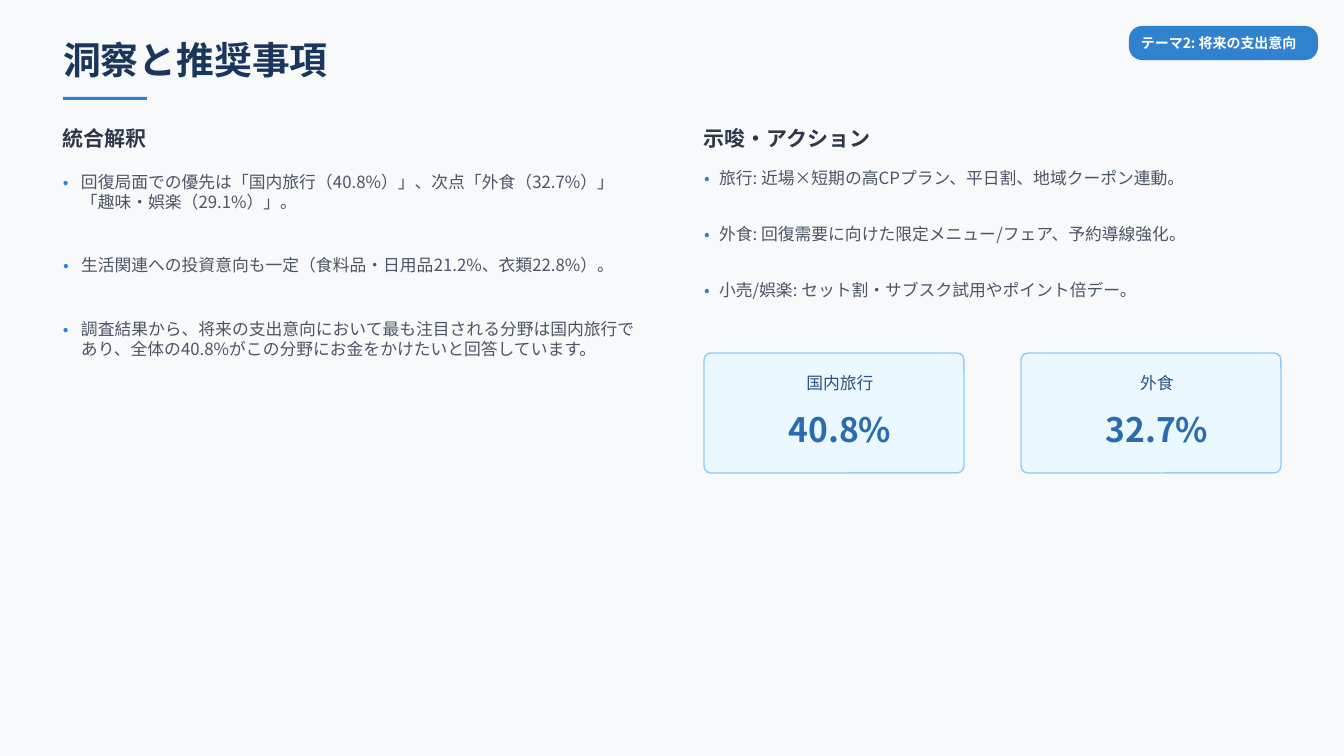
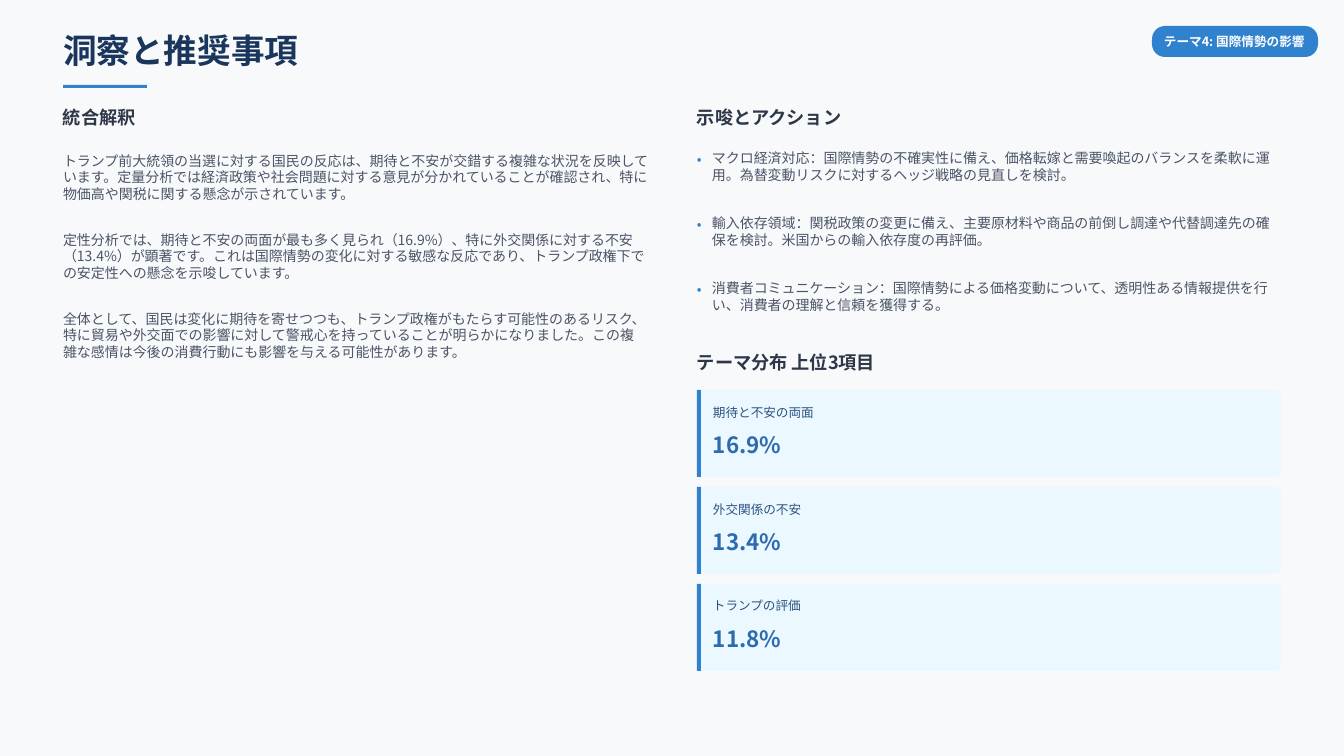
import dataclasses

import pptx
import pptx.dml.color
import pptx.enum.shapes
import pptx.enum.text
import pptx.oxml.ns
import pptx.util
from lxml import etree

PX = 9525 / 1.05  # EMU in one px, 100.8 px to the inch
SHAPE = pptx.enum.shapes.MSO_SHAPE
ALIGN = pptx.enum.text.PP_ALIGN


@dataclasses.dataclass(frozen=True)
class Theme:
    font: str = "Noto Sans CJK JP"
    back: str = "F8F9FA"
    title: str = "1A365D"
    head: str = "2D3748"
    body: str = "4A5568"
    blue: str = "3182CE"
    pale: str = "EBF8FF"
    edge: str = "90CDF4"
    label: str = "2C5282"
    value: str = "2B6CB0"
    white: str = "FFFFFF"
    lead: float = 1.19  # line pitch of body text


@dataclasses.dataclass(frozen=True)
class Sizes:
    title: int
    head: int
    body: int
    label: int
    value: int
    badge: int


THEME = Theme()
LARGE = Sizes(title=27, head=15, body=12, label=12, value=24, badge=10)
SMALL = Sizes(title=24, head=13, body=10, label=9, value=16, badge=9)


def emu(px):
    return pptx.util.Emu(round(px * PX))


def rgb(code):
    return pptx.dml.color.RGBColor.from_string(code)


def shape(slide, box, fill, radius=0, line=None):
    kind = SHAPE.ROUNDED_RECTANGLE if radius else SHAPE.RECTANGLE
    item = slide.shapes.add_shape(kind, *map(emu, box))
    item.shadow.inherit = False
    item.fill.solid()
    item.fill.fore_color.rgb = rgb(fill)
    if radius:
        item.adjustments[0] = radius / min(box[2:])
    if line:
        item.line.color.rgb = rgb(line)
        item.line.width = pptx.util.Pt(1)
    else:
        item.line.fill.background()


def bullet(para, hang):
    props = para._p.get_or_add_pPr()
    props.set("marL", str(emu(hang)))
    props.set("indent", str(-emu(hang)))
    name = pptx.oxml.ns.qn
    color = etree.SubElement(props, name("a:buClr"))
    etree.SubElement(color, name("a:srgbClr"), val=THEME.blue)
    etree.SubElement(props, name("a:buFont"), typeface=THEME.font)
    etree.SubElement(props, name("a:buChar"), char="•")


def text(slide, box, words, size, color, bold=False, align=ALIGN.LEFT,
         lead=None, hang=0):
    frame = slide.shapes.add_textbox(*map(emu, box)).text_frame
    frame.word_wrap = True
    frame.vertical_anchor = pptx.enum.text.MSO_ANCHOR.MIDDLE
    frame.margin_left = frame.margin_right = 0
    frame.margin_top = frame.margin_bottom = 0
    para = frame.paragraphs[0]
    para.alignment = align
    if lead:
        para.line_spacing = pptx.util.Pt(round(size * lead, 1))
    if hang:
        bullet(para, hang)
    run = para.add_run()
    run.text = words
    run.font.name = THEME.font
    run.font.size = pptx.util.Pt(size)
    run.font.bold = bold
    run.font.color.rgb = rgb(color)
    east = etree.SubElement(run._r.get_or_add_rPr(), pptx.oxml.ns.qn("a:ea"))
    east.set("typeface", THEME.font)


def head(slide, x, y, words, sizes):
    text(slide, (x, y, 300, 2 * sizes.head), words, sizes.head,
         THEME.head, bold=True)


def body(slide, box, words, sizes, hang=0):
    text(slide, box, words, sizes.body, THEME.body, lead=THEME.lead, hang=hang)


def frame(deck, sizes, top, topic, wide):
    """Start a slide: background, title with rule, topic badge."""
    slide = deck.slides.add_slide(deck.slide_layouts[6])
    slide.background.fill.solid()
    slide.background.fill.fore_color.rgb = rgb(THEME.back)
    high = 2 * sizes.title
    text(slide, (63, top, 400, high), "洞察と推奨事項", sizes.title,
         THEME.title, bold=True)
    shape(slide, (63, top + high + 11, 84, 3), THEME.blue)
    # Badge, set against the right edge
    x, y, tall = 1318 - wide, 26, 3 * sizes.badge + 4
    shape(slide, (x, y, wide, tall), THEME.blue, radius=13)
    text(slide, (x + 12, y, wide - 12, tall), topic, sizes.badge,
         THEME.white, bold=True)
    return slide


def tile(slide, box, label, value, sizes):
    """Outlined card with centred figures."""
    x, y, w, h = box
    shape(slide, box, THEME.pale, radius=7, line=THEME.edge)
    text(slide, (x + 6, y + 17, w, 25), label, sizes.label, THEME.label,
         align=ALIGN.CENTER)
    text(slide, (x + 6, y + 52, w, 48), value, sizes.value, THEME.value,
         bold=True, align=ALIGN.CENTER)


def strip(slide, box, label, value, sizes):
    """Wide card with an accent bar at its left."""
    x, y, w, h = box
    shape(slide, box, THEME.pale, radius=5)
    shape(slide, (x, y, 4, h), THEME.blue)
    text(slide, (x + 16, y + 12, w - 32, 20), label, sizes.label, THEME.label)
    text(slide, (x + 16, y + 38, w - 32, 34), value, sizes.value, THEME.value,
         bold=True)


def spend(deck):
    sizes = LARGE
    slide = frame(deck, sizes, 32, "テーマ2: 将来の支出意向", 189)
    # Findings
    left, right = 63, 704
    head(slide, left, 123, "統合解釈", sizes)
    notes = (
        (165, 564, 53, "回復局面での優先は「国内旅行（40.8%）」、次点「外食（32.7%）」「趣味・娯楽（29.1%）」。"),
        (252, 575, 25, "生活関連への投資意向も一定（食料品・日用品21.2%、衣類22.8%）。"),
        (312, 584, 53, "調査結果から、将来の支出意向において最も注目される分野は国内旅行であり、全体の40.8%がこの分野にお金をかけたいと回答しています。"),
    )
    for y, w, h, words in notes:
        body(slide, (left, y, w, h), words, sizes, hang=18)
    # Actions
    head(slide, right, 123, "示唆・アクション", sizes)
    acts = (
        "旅行: 近場×短期の高CPプラン、平日割、地域クーポン連動。",
        "外食: 回復需要に向けた限定メニュー/フェア、予約導線強化。",
        "小売/娯楽: セット割・サブスク試用やポイント倍デー。",
    )
    for row, words in enumerate(acts):
        body(slide, (right, 165 + 56 * row, 578, 25), words, sizes, hang=15)
    # Key figures
    stats = (("国内旅行", "40.8%"), ("外食", "32.7%"))
    for col, (label, value) in enumerate(stats):
        tile(slide, (right + 317 * col, 353, 260, 120), label, value, sizes)


def world(deck):
    sizes = SMALL
    slide = frame(deck, sizes, 26, "テーマ4: 国際情勢の影響", 166)
    # Findings
    left, right = 63, 697
    head(slide, left, 104, "統合解釈", sizes)
    notes = (
        (585, "トランプ前大統領の当選に対する国民の反応は、期待と不安が交錯する複雑な状況を反映しています。定量分析では経済政策や社会問題に対する意見が分かれていることが確認され、特に物価高や関税に関する懸念が示されています。"),
        (595, "定性分析では、期待と不安の両面が最も多く見られ（16.9%）、特に外交関係に対する不安（13.4%）が顕著です。これは国際情勢の変化に対する敏感な反応であり、トランプ政権下での安定性への懸念を示唆しています。"),
        (583, "全体として、国民は変化に期待を寄せつつも、トランプ政権がもたらす可能性のあるリスク、特に貿易や外交面での影響に対して警戒心を持っていることが明らかになりました。この複雑な感情は今後の消費行動にも影響を与える可能性があります。"),
    )
    for row, (w, words) in enumerate(notes):
        body(slide, (left, 145 + 79 * row, w, 65), words, sizes)
    # Actions
    head(slide, right, 104, "示唆とアクション", sizes)
    acts = (
        "マクロ経済対応：国際情勢の不確実性に備え、価格転嫁と需要喚起のバランスを柔軟に運用。為替変動リスクに対するヘッジ戦略の見直しを検討。",
        "輸入依存領域：関税政策の変更に備え、主要原材料や商品の前倒し調達や代替調達先の確保を検討。米国からの輸入依存度の再評価。",
        "消費者コミュニケーション：国際情勢による価格変動について、透明性ある情報提供を行い、消費者の理解と信頼を獲得する。",
    )
    for row, words in enumerate(acts):
        body(slide, (right, 145 + 65 * row, 584, 43), words, sizes, hang=15)
    # Top themes
    head(slide, right, 349, "テーマ分布 上位3項目", sizes)
    stats = (
        ("期待と不安の両面", "16.9%"),
        ("外交関係の不安", "13.4%"),
        ("トランプの評価", "11.8%"),
    )
    for row, (label, value) in enumerate(stats):
        strip(slide, (right, 390 + 97 * row, 584, 87), label, value, sizes)


def main():
    deck = pptx.Presentation()
    deck.slide_width, deck.slide_height = emu(1344), emu(756)
    spend(deck)
    world(deck)
    deck.save("out.pptx")


if __name__ == "__main__":
    main()
